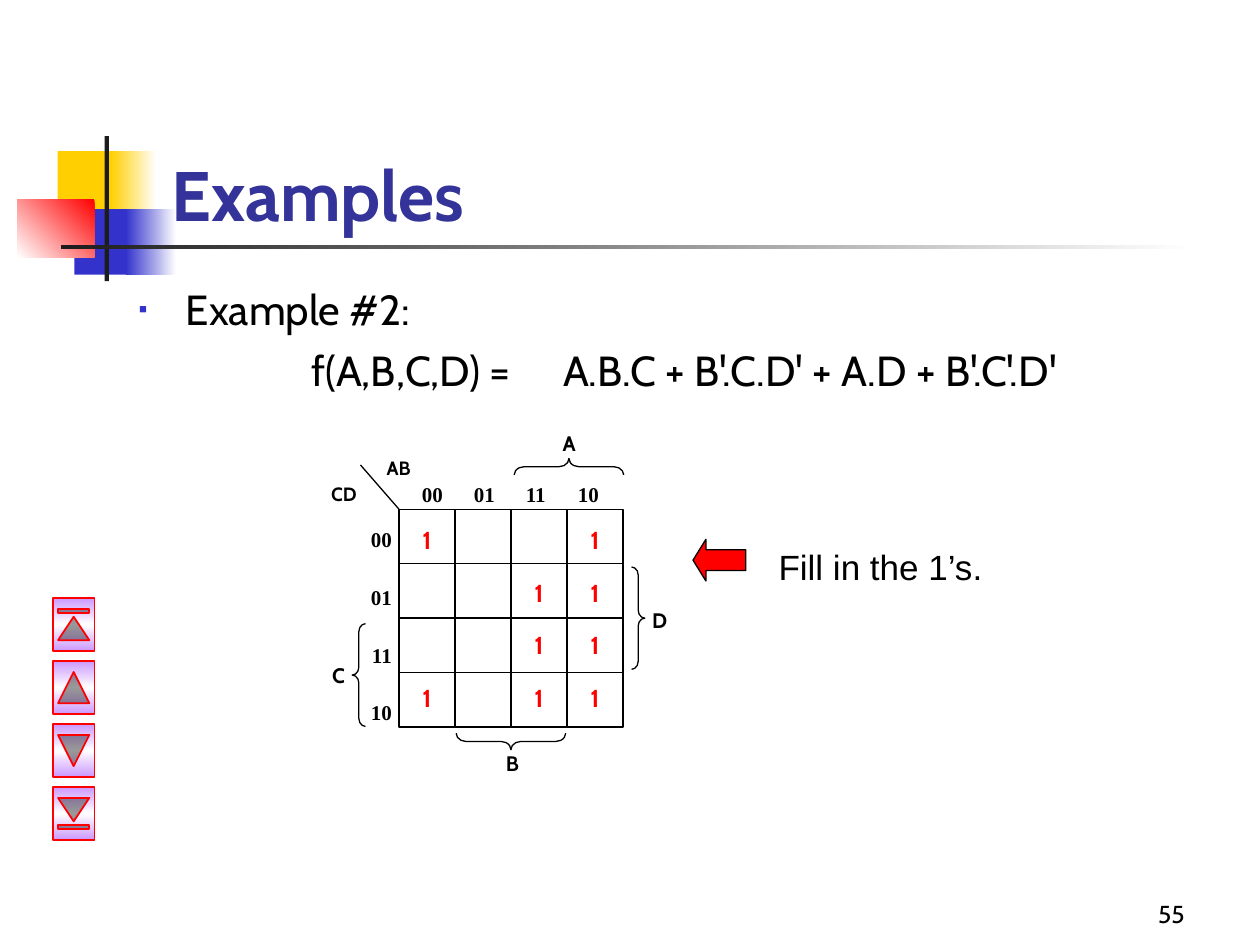
from lxml import etree
from pptx import Presentation
from pptx.dml.color import RGBColor
from pptx.enum.shapes import MSO_CONNECTOR, MSO_SHAPE
from pptx.enum.text import MSO_ANCHOR, MSO_AUTO_SIZE, PP_ALIGN
from pptx.oxml.ns import qn
from pptx.util import Pt

RECT, ARROW = MSO_SHAPE.RECTANGLE, MSO_SHAPE.LEFT_ARROW
LEFT_BRACE, RIGHT_BRACE = MSO_SHAPE.LEFT_BRACE, MSO_SHAPE.RIGHT_BRACE
FIRST, PREVIOUS = MSO_SHAPE.ACTION_BUTTON_BEGINNING, MSO_SHAPE.ACTION_BUTTON_BACK_OR_PREVIOUS
NEXT, LAST = MSO_SHAPE.ACTION_BUTTON_FORWARD_OR_NEXT, MSO_SHAPE.ACTION_BUTTON_END
STRAIGHT = MSO_CONNECTOR.STRAIGHT
LEFT, CENTER, RIGHT = PP_ALIGN.LEFT, PP_ALIGN.CENTER, PP_ALIGN.RIGHT
TOP, BOTTOM = MSO_ANCHOR.TOP, MSO_ANCHOR.BOTTOM
NO_FIT = MSO_AUTO_SIZE.NONE

BLACK, WHITE, RED = "000000", "FFFFFF", "FF0000"
YELLOW, BLUE, DARK, INDIGO, LILAC = "FFCF01", "3333CC", "1C1C1C", "333399", "CC99FF"
SANS, SERIF, ARIAL = "Cabin", "Times New Roman", "Arial"


def rgb(value):
    return RGBColor.from_string(value)


def child(parent, tag, **attributes):
    return etree.SubElement(parent, qn(tag), attributes)


class SlideBuilder:
    """Holds the slide and the style shared by its elements."""

    def __init__(self, slide, line_width=0.75):
        self.slide = slide
        self.line_width = line_width

    def shape(self, kind, box, fill=None, line=None, width=None, rotation=0, adjust=()):
        shape = self.slide.shapes.add_shape(kind, *map(Pt, box))
        shape.shadow.inherit = False
        shape.rotation = rotation
        for index, value in enumerate(adjust):
            shape.adjustments[index] = value
        if fill:
            shape.fill.solid()
            shape.fill.fore_color.rgb = rgb(fill)
        else:
            shape.fill.background()
        if line:
            shape.line.color.rgb = rgb(line)
            shape.line.width = Pt(width or self.line_width)
        else:
            shape.line.fill.background()
        return shape

    def gradient(self, kind, box, colors, angle, **style):
        """Add a shape whose colours are evenly spread, at a clockwise angle."""
        shape = self.shape(kind, box, **style)
        no_fill = shape.fill._xPr.find(qn("a:noFill"))
        grad = etree.Element(qn("a:gradFill"), rotWithShape="0")
        stops = child(grad, "a:gsLst")
        for index, color in enumerate(colors):
            position = index * 100000 // (len(colors) - 1)
            stop = child(stops, "a:gs", pos=str(position))
            child(stop, "a:srgbClr", val=color)
        child(grad, "a:lin", ang=str(angle * 60000), scaled="0")
        no_fill.getparent().replace(no_fill, grad)

    def line(self, x1, y1, x2, y2):
        line = self.slide.shapes.add_connector(STRAIGHT, *map(Pt, (x1, y1, x2, y2)))
        line.line.color.rgb = rgb(BLACK)
        line.line.width = Pt(self.line_width)
        child(line._element.spPr, "a:effectLst")

    def paragraph(self, frame, text, size, font=SANS, color=BLACK, bold=False,
                  align=LEFT, before=0, first=True):
        paragraph = frame.paragraphs[0] if first else frame.add_paragraph()
        paragraph.alignment = align
        paragraph.space_before = Pt(before)
        run = paragraph.add_run()
        run.text = text
        run.font.name, run.font.size, run.font.bold = font, Pt(size), bold
        run.font.color.rgb = rgb(color)
        return paragraph

    def text(self, box, lines, size, anchor=TOP, before=0, **style):
        frame = self.slide.shapes.add_textbox(*map(Pt, box)).text_frame
        frame.word_wrap = True
        frame.vertical_anchor = anchor
        for index, text in enumerate(lines):
            self.paragraph(frame, text, size, before=before if index else 0,
                           first=index == 0, **style)
        return frame

    def placeholder(self, index, box, anchor=TOP):
        holder = self.slide.placeholders[index]
        holder.left, holder.top, holder.width, holder.height = map(Pt, box)
        frame = holder.text_frame
        frame.auto_size, frame.vertical_anchor = NO_FIT, anchor
        return frame

    def indent(self, paragraph, margin, first=0, bullet=None):
        properties = paragraph._p.get_or_add_pPr()
        properties.set("marL", str(Pt(margin)))
        properties.set("indent", str(Pt(first)))
        if bullet:
            child(child(properties, "a:buClr"), "a:srgbClr", val=BLUE)
            child(properties, "a:buSzPct", val="60000")
            child(properties, "a:buChar", char=bullet)
        else:
            child(properties, "a:buNone")

    def tabs(self, paragraph, positions):
        stops = child(paragraph._p.get_or_add_pPr(), "a:tabLst")
        for position in positions:
            child(stops, "a:tab", pos=str(Pt(position)), algn="l")


def add_decoration(page):
    page.shape(RECT, (33, 86.4, 35, 37.4), YELLOW)
    page.gradient(RECT, (63.4, 86.4, 26, 37.4), (WHITE, YELLOW), 180)
    page.shape(RECT, (42.5, 119.5, 33, 37.4), BLUE)
    page.gradient(RECT, (72, 119.5, 28.8, 37.4), (WHITE, BLUE), 180)
    page.gradient(RECT, (10, 113.8, 44, 33.1), (RED, WHITE), 135)
    page.shape(RECT, (59.8, 77.8, 2.4, 82.8), DARK)
    page.gradient(RECT, (34.6, 140.1, 648, 2.5), (WHITE, DARK), 180)


def add_headings(page):
    title = page.placeholder(0, (90.7, 48.2, 613.4, 90), BOTTOM)
    page.paragraph(title, "Examples", 40, color=INDIGO, bold=True)
    body = page.placeholder(1, (72, 158.4, 630, 90))
    example = page.paragraph(body, "Example #2:", 24)
    page.indent(example, 27, -27, "▪")
    formula = page.paragraph(body, "f(A,B,C,D) =\tA.B.C + B'.C.D' + A.D + B'.C'.D'", 24,
                             before=6, first=False)
    page.indent(formula, 98.6)
    page.tabs(formula, [223.6])


def add_navigation(page):
    for row, button in enumerate((FIRST, PREVIOUS, NEXT, LAST)):
        page.gradient(button, (27, 345 + 36 * row, 30.2, 23.8), (LILAC, WHITE, LILAC), 90,
                      line=RED, width=1, rotation=90)


def add_karnaugh_map(page):
    left, top, cell_width, cell_height = 228, 291, 32, 31.1
    right, bottom = left + 4 * cell_width, top + 4 * cell_height
    page.shape(RECT, (left, top, right - left, bottom - top), line=BLACK)
    for step in range(1, 4):
        x, y = left + step * cell_width, top + step * cell_height
        page.line(x, top, x, bottom)
        page.line(left, y, right, y)
    page.line(left, top, 206, 265.7)

    ones_by_row = ((0, 3), (2, 3), (2, 3), (0, 2, 3))
    for row, columns in enumerate(ones_by_row):
        for column in columns:
            page.text((left + column * cell_width, 296.6 + 30 * row, cell_width, 25),
                      ["1"], 14, color=RED, bold=True, align=CENTER)

    codes = ("00", "01", "11", "10")
    page.text((203, 297.4, 28, 129), codes, 12, font=SERIF, bold=True, align=RIGHT,
              before=18.6)
    header = page.text((234, 271.4, 120, 25), ["\t".join(codes)], 12, font=SERIF, bold=True)
    page.tabs(header.paragraphs[0], [29.7 * step for step in range(1, 4)])

    for label, size, box in (("A", 12, (313.2, 242.6, 24, 19)),
                             ("B", 12, (280.8, 425.5, 24, 19)),
                             ("C", 12, (181.4, 375.1, 24, 25)),
                             ("D", 12, (365, 343.4, 24, 25)),
                             ("AB", 11, (209.5, 257, 36.7, 21)),
                             ("CD", 11, (174.2, 272.2, 44.6, 21))):
        page.text(box, [label], size, bold=True, align=CENTER)

    for kind, box, rotation in ((LEFT_BRACE, (320.4, 235.4, 9.4, 62.6), 90),
                                (LEFT_BRACE, (287.3, 392.4, 9.4, 62.6), 270),
                                (LEFT_BRACE, (201.3, 356.4, 7.6, 58.7), 0),
                                (RIGHT_BRACE, (360.9, 324, 7.6, 58.5), 0)):
        page.shape(kind, box, line=BLACK, rotation=rotation, adjust=(0.6, 0.5))


def main():
    deck = Presentation()
    deck.slide_width, deck.slide_height = Pt(720), Pt(540)
    page = SlideBuilder(deck.slides.add_slide(deck.slide_layouts[1]))
    add_decoration(page)
    add_headings(page)
    add_navigation(page)
    add_karnaugh_map(page)
    page.shape(ARROW, (396, 308.2, 30.2, 23.8), RED, BLACK, adjust=(0.5, 0.31))
    page.text((437.8, 308.2, 198, 31.7), ["Fill in the 1’s."], 20, font=ARIAL)
    page.text((534.2, 498.2, 149.8, 36), ["55"], 14, anchor=BOTTOM, align=RIGHT)
    deck.save("out.pptx")


if __name__ == "__main__":
    main()
